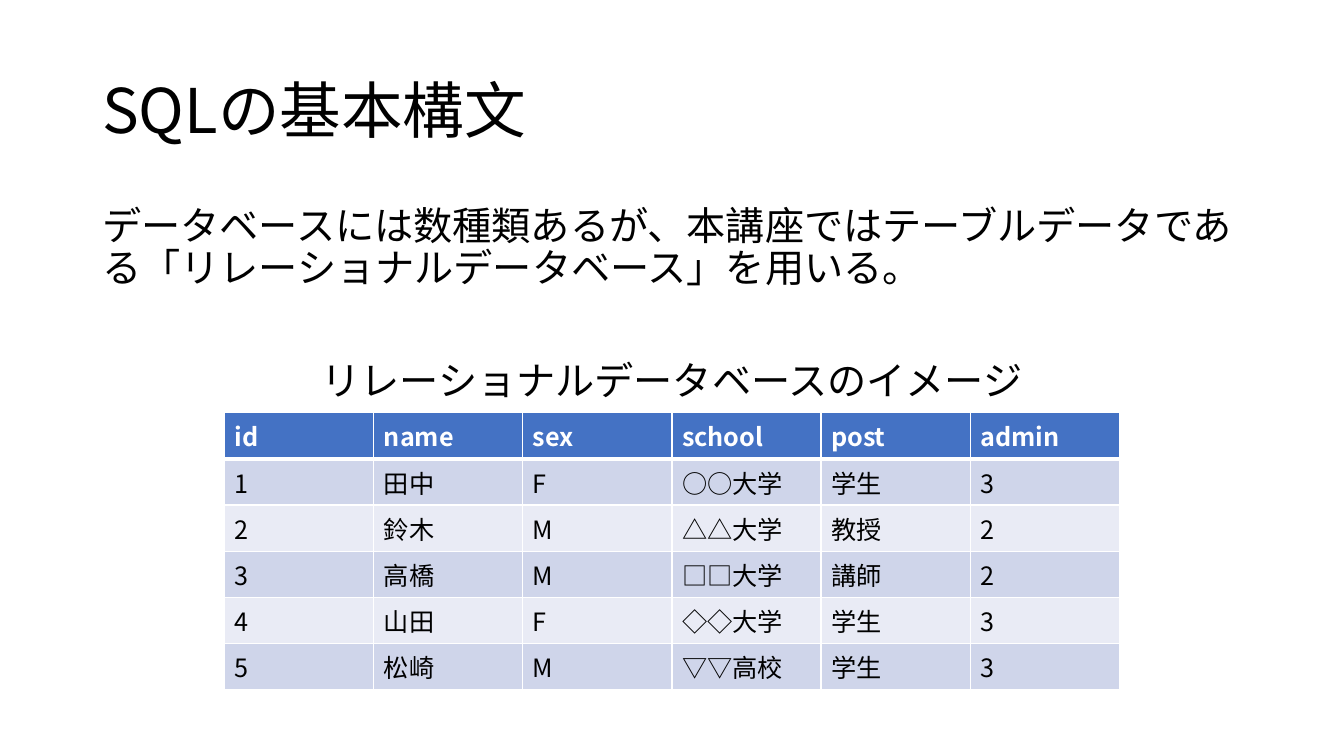
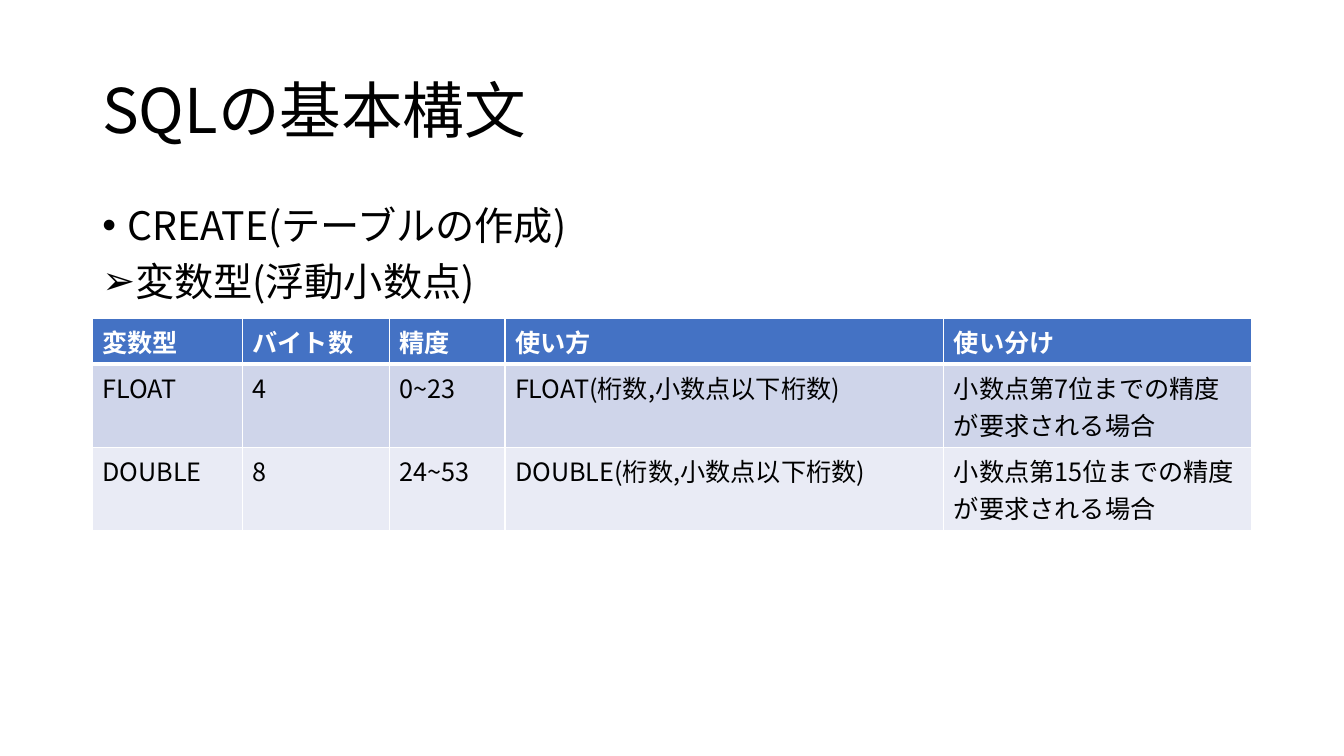
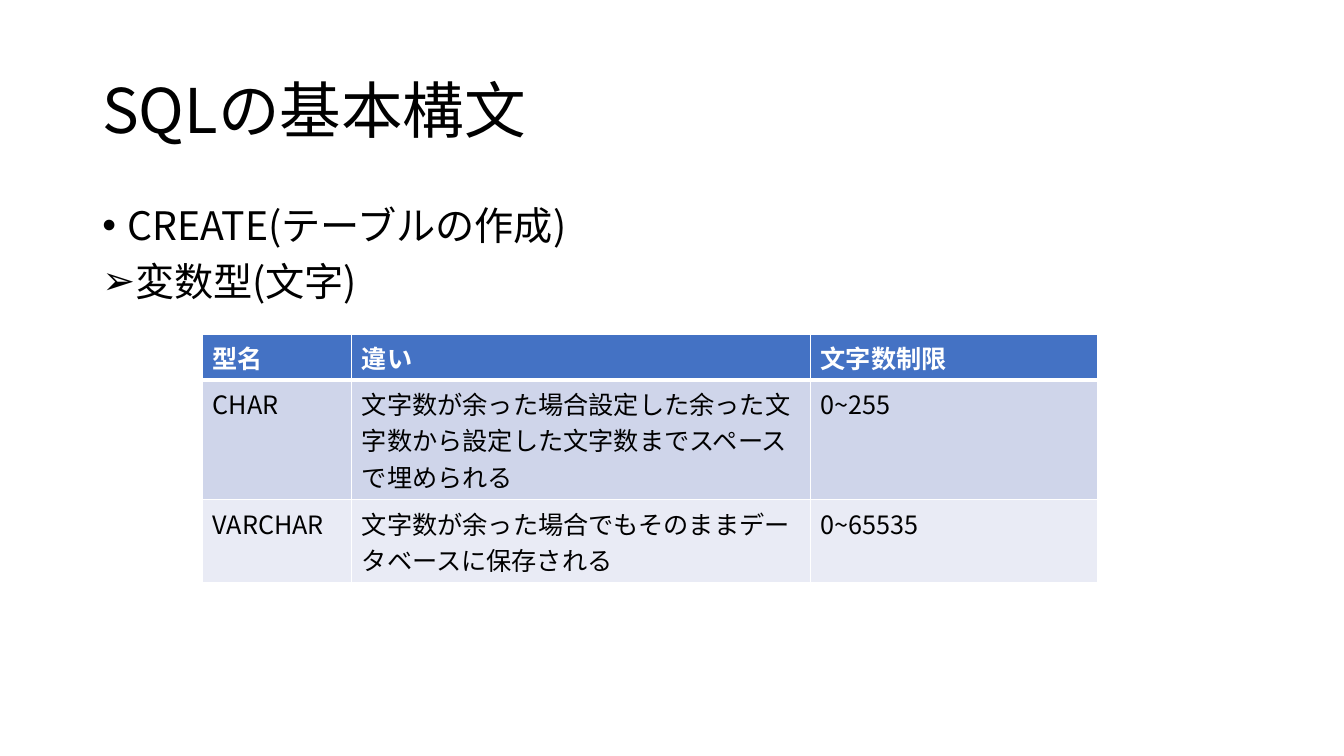
from lxml.etree import SubElement as Sub
from pptx import Presentation
from pptx.dml.color import RGBColor as Rgb
from pptx.enum.text import MSO_ANCHOR as Anchor, PP_ALIGN as Align
from pptx.oxml.ns import qn
from pptx.util import Pt

PX = 9525
FONT = "Noto Sans CJK JP"
INK = {"text": "000000", "white": "FFFFFF", "head": "4472C4",
       "odd": "CFD5EA", "even": "E9EBF5"}
TITLE = "SQLの基本構文"
LEFT, WIDE = 88, 1104
ROW, LINE = 44, 35
CREATE = ("•", "CREATE(テーブルの作成)")

SLIDES = [
    {"body": [("", "データベースには数種類あるが、本講座ではテーブルデータである"
                   "「リレーショナルデータベース」を用いる。")],
     "caption": "リレーショナルデータベースのイメージ",
     "at": (214, 393), "cols": [142] * 6, "lines": [1] * 6,
     "rows": [("id", "name", "sex", "school", "post", "admin"),
              ("1", "田中", "F", "○○大学", "学生", "3"),
              ("2", "鈴木", "M", "△△大学", "教授", "2"),
              ("3", "高橋", "M", "□□大学", "講師", "2"),
              ("4", "山田", "F", "◇◇大学", "学生", "3"),
              ("5", "松崎", "M", "▽▽高校", "学生", "3")]},
    {"body": [CREATE, ("➢", "変数型(浮動小数点)")],
     "at": (88, 303), "cols": [143, 140, 110, 418, 293], "lines": [1, 2, 2],
     "rows": [("変数型", "バイト数", "精度", "使い方", "使い分け"),
              ("FLOAT", "4", "0~23", "FLOAT(桁数,小数点以下桁数)",
               "小数点第7位までの精度が要求される場合"),
              ("DOUBLE", "8", "24~53", "DOUBLE(桁数,小数点以下桁数)",
               "小数点第15位までの精度が要求される場合")]},
    {"body": [CREATE, ("➢", "変数型(文字)")],
     "at": (193, 318), "cols": [142, 437, 273], "lines": [1, 3, 2],
     "rows": [("型名", "違い", "文字数制限"),
              ("CHAR", "文字数が余った場合設定した余った文字数から"
                       "設定した文字数までスペースで埋められる", "0~255"),
              ("VARCHAR", "文字数が余った場合でもそのままデータベースに保存される",
               "0~65535")]},
]


def style(para, size, color="text", bold=False):
    """Set the font of a paragraph."""
    font = para.font
    font.size, font.bold, font.name = Pt(size), bold, FONT
    font.color.rgb = Rgb.from_string(INK[color])
    Sub(font._rPr, qn("a:ea"), typeface=FONT)


def bullet(para, mark):
    """Give a paragraph a hanging bullet."""
    props = para._p.get_or_add_pPr()
    props.set("marL", str(24 * PX))
    props.set("indent", str(-24 * PX))
    Sub(props, qn("a:buFont"), typeface="Arial")
    Sub(props, qn("a:buChar"), char=mark)


def write(slide, top, high, items, size, pitch, align=Align.LEFT,
          anchor=Anchor.TOP):
    """Add a full-width text box of (bullet, text) items."""
    box = slide.shapes.add_textbox(LEFT * PX, top * PX, WIDE * PX, high * PX)
    frame = box.text_frame
    frame.word_wrap, frame.vertical_anchor = True, anchor
    for i, (mark, text) in enumerate(items):
        para = frame.add_paragraph() if i else frame.paragraphs[0]
        para.text, para.alignment = text, align
        if mark:
            bullet(para, mark)
        para.line_spacing = Pt(pitch)
        if i:
            para.space_before = Pt(10)
        style(para, size)


def border(cell, row):
    """Draw white cell edges, thick below the header."""
    props = cell._tc.get_or_add_tcPr()
    wide = {"L": 1, "R": 1, "T": 3 if row == 1 else 1, "B": 1 if row else 3}
    for side, width in wide.items():
        line = Sub(props, qn(f"a:ln{side}"), w=str(Pt(width)))
        Sub(Sub(line, qn("a:solidFill")), qn("a:srgbClr"), val=INK["white"])


def grid(slide, at, cols, rows, lines):
    """Add a banded table whose rows fit their count of text lines."""
    left, top = at
    highs = [ROW + LINE * (count - 1) for count in lines]
    table = slide.shapes.add_table(
        len(rows), len(cols), left * PX, top * PX,
        sum(cols) * PX, sum(highs) * PX).table
    for col, width in zip(table.columns, cols):
        col.width = width * PX
    for r, row in enumerate(rows):
        table.rows[r].height = highs[r] * PX
        band = "head" if r == 0 else "odd" if r % 2 else "even"
        for c, text in enumerate(row):
            cell = table.cell(r, c)
            border(cell, r)
            cell.fill.solid()
            cell.fill.fore_color.rgb = Rgb.from_string(INK[band])
            cell.text = text
            style(cell.text_frame.paragraphs[0], 18,
                  "text" if r else "white", r == 0)


def main():
    """Build and save the slides."""
    deck = Presentation()
    deck.slide_width, deck.slide_height = 1280 * PX, 720 * PX
    for data in SLIDES:
        slide = deck.slides.add_slide(deck.slide_layouts[6])
        write(slide, 34, 139, [("", TITLE)], 44, 53, anchor=Anchor.MIDDLE)
        write(slide, 192, 106, data["body"], 28, 30)
        if "caption" in data:
            write(slide, 339, 50, [("", data["caption"])], 28, 30, Align.CENTER)
        grid(slide, data["at"], data["cols"], data["rows"], data["lines"])
    deck.save("out.pptx")


if __name__ == "__main__":
    main()
